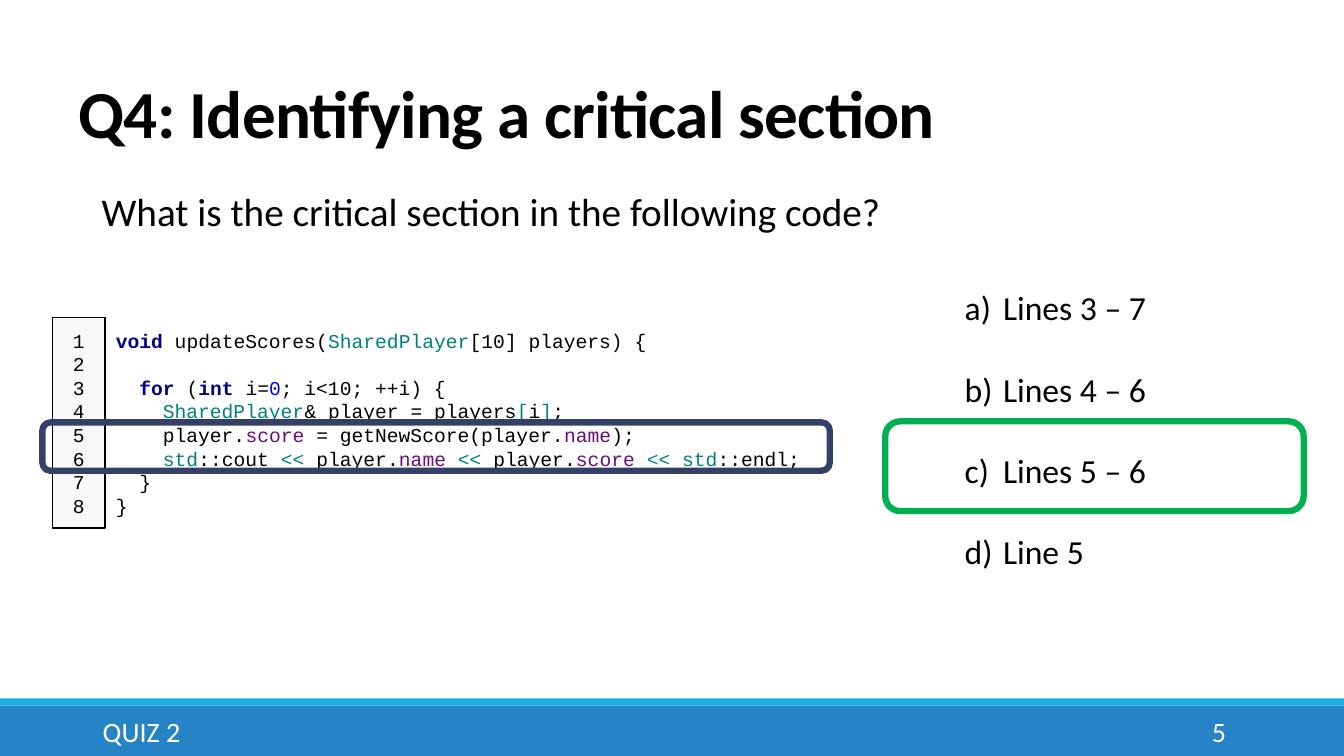
from lxml.etree import SubElement
from pptx import Presentation
from pptx.dml.color import RGBColor
from pptx.enum.shapes import MSO_SHAPE as Shape
from pptx.enum.text import MSO_ANCHOR as Anchor, PP_ALIGN as Align
from pptx.oxml.ns import qn
from pptx.util import Inches, Pt

TITLE = "Q4: Identifying a critical section"
QUERY = "What is the critical section in the following code?"
FOOT = "QUIZ 2"
PAGE = "5"
CHOICES = ["Lines 3 – 7", "Lines 4 – 6", "Lines 5 – 6", "Line 5"]

COLORS = {"key": "000080", "type": "008080", "num": "0000FF",
          "field": "660E7A", "text": "000000"}
CODE = [
    [("void ", "key"), ("updateScores(", "text"), ("SharedPlayer", "type"),
     ("[10] players) {", "text")],
    [],
    [("  for ", "key"), ("(", "text"), ("int ", "key"), ("i=", "text"),
     ("0", "num"), ("; i<10; ++i) {", "text")],
    [("    SharedPlayer", "type"), ("& player = players", "text"),
     ("[", "type"), ("i", "text"), ("]", "type"), (";", "text")],
    [("    player.", "text"), ("score ", "field"),
     ("= getNewScore(player.", "text"), ("name", "field"), (");", "text")],
    [("    std", "type"), ("::cout ", "text"), ("<< ", "type"),
     ("player.", "text"), ("name ", "field"), ("<< ", "type"),
     ("player.", "text"), ("score ", "field"), ("<< std", "type"),
     ("::endl;", "text")],
    [("  }", "text")],
    [("}", "text")],
]
BANDS = [(7, 0.5, "2683C6"), (6.93, 0.07, "1CADE4")]
FRAMES = [((8.78, 4.18, 4.15, 0.89), "00B050"),
          ((0.42, 4.19, 7.81, 0.48), "344068")]
MONO, SANS = "Courier New", "Calibri"
CODE_GAP, CHOICE_GAP = 16.9, 29.3

deck = Presentation()
deck.slide_width, deck.slide_height = Inches(13.33), Inches(7.5)
slide = deck.slides.add_slide(deck.slide_layouts[6])


def rgb(code):
    return RGBColor.from_string(code)


def style(run, size, font, color="000000", bold=False):
    run.font.size, run.font.name = Pt(size), font
    run.font.bold = bold
    run.font.color.rgb = rgb(color)


def box(kind, at, fill=None, line=None, width=1):
    item = slide.shapes.add_shape(kind, *map(Inches, at))
    item.shadow.inherit = False
    if fill:
        item.fill.solid()
        item.fill.fore_color.rgb = rgb(fill)
    else:
        item.fill.background()
    if line:
        item.line.color.rgb = rgb(line)
        item.line.width = Pt(width)
    else:
        item.line.fill.background()
    return item


def label(at, lines, size, color="000000", bold=False, anchor=Anchor.TOP):
    frame = slide.shapes.add_textbox(*map(Inches, at)).text_frame
    frame.word_wrap = True
    frame.vertical_anchor = anchor
    frame.text = "\n".join(lines)
    for para in frame.paragraphs:
        style(para.runs[0], size, SANS, color, bold)
    return frame


for top, high, color in BANDS:
    box(Shape.RECTANGLE, (0, top, 13.33, high), color)

head = label((0.68, 0.71, 11, 0.85), [TITLE], 48, bold=True,
             anchor=Anchor.BOTTOM).paragraphs[0]
head.line_spacing = 0.85
head.runs[0].font._element.set("spc", "-50")

label((0.92, 7.06, 8.39, 0.4), [FOOT], 20, "FFFFFF", anchor=Anchor.MIDDLE)
page = label((10.83, 7.06, 1.43, 0.4), [PAGE], 20, "FFFFFF",
             anchor=Anchor.MIDDLE)
page.paragraphs[0].alignment = Align.RIGHT
label((0.91, 1.81, 8.01, 0.57), [QUERY], 28)

code = box(Shape.RECTANGLE, (1.05, 3.2, 8.07, 1.99), "FFFFFF").text_frame
code.vertical_anchor = Anchor.MIDDLE
para, gap = code.paragraphs[0], 0
for row, parts in enumerate(CODE):
    if not parts:
        gap += CODE_GAP
        continue
    if row:
        para = code.add_paragraph()
    para.alignment = Align.LEFT
    para.space_before = Pt(gap)
    gap = 0
    for text, role in parts:
        run = para.add_run()
        run.text = text
        style(run, 14, MONO, COLORS[role], role == "key")

side = box(Shape.RECTANGLE, (0.52, 3.15, 0.52, 2.09), "F8F8F8",
           "000000").text_frame
side.vertical_anchor = Anchor.MIDDLE
side.text = "\n".join(str(n + 1) for n in range(len(CODE)))
for para in side.paragraphs:
    para.alignment = Align.CENTER
    style(para.runs[0], 14, MONO)

picks = label((9.47, 2.8, 2.1, 2.93), CHOICES, 24)
for row, para in enumerate(picks.paragraphs):
    para.space_before = Pt(CHOICE_GAP if row else 0)
    props = para._p.get_or_add_pPr()
    props.set("marL", str(Inches(0.38)))
    props.set("indent", str(-Inches(0.38)))
    SubElement(props, qn("a:buFont")).set("typeface", "+mj-lt")
    SubElement(props, qn("a:buAutoNum")).set("type", "alphaLcParenR")

for at, color in FRAMES:
    box(Shape.ROUNDED_RECTANGLE, at, line=color, width=4.5)

deck.save("out.pptx")
